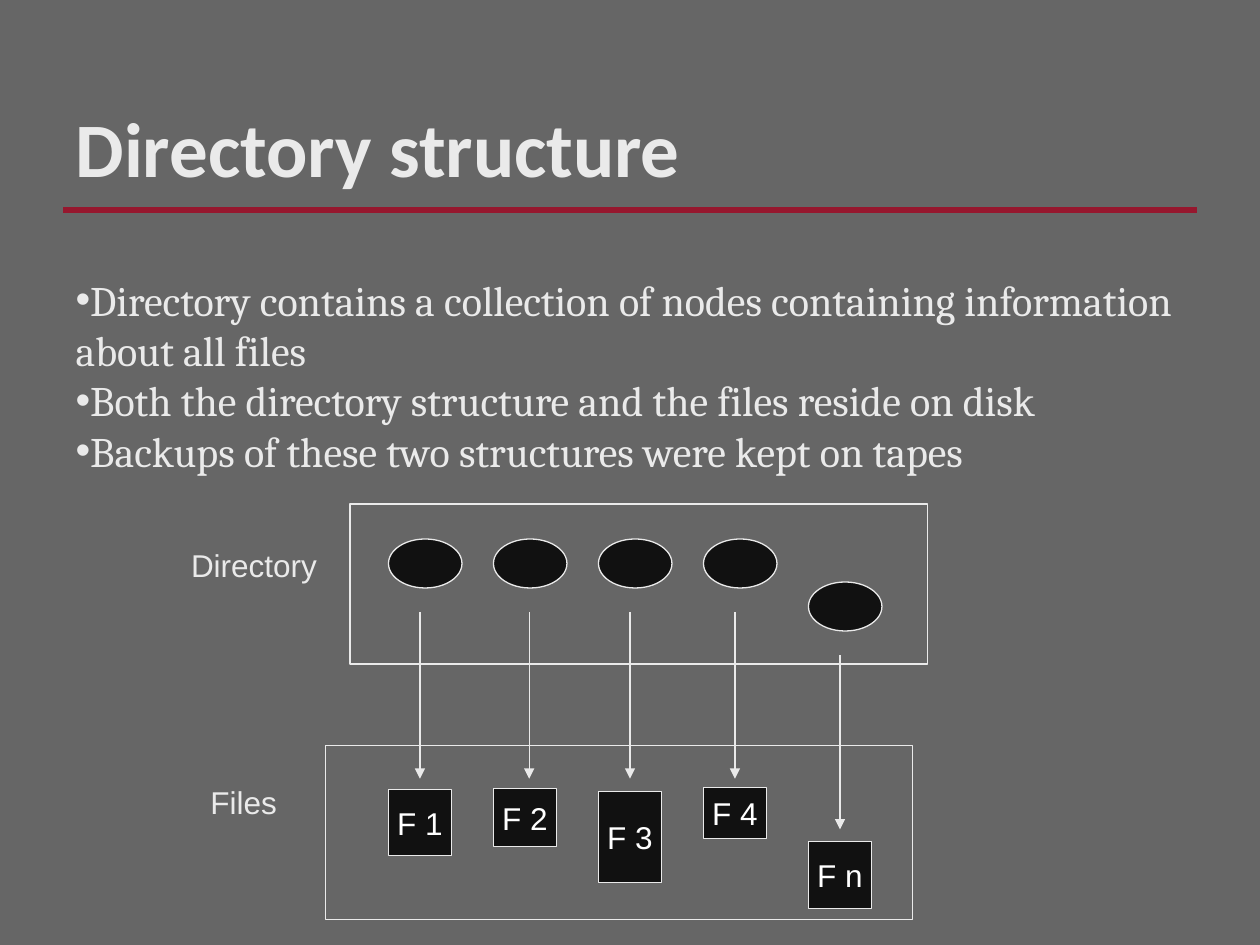
from lxml.etree import SubElement
from pptx import Presentation
from pptx.dml.color import RGBColor
from pptx.enum.shapes import MSO_CONNECTOR, MSO_SHAPE
from pptx.enum.text import MSO_ANCHOR, MSO_AUTO_SIZE, PP_ALIGN
from pptx.oxml.ns import qn
from pptx.util import Pt

HUES = {"back": "666666", "rule": "96172E", "pale": "EAEAEA",
        "dark": "111111", "white": "FFFFFF"}
POINTS = [
    "Directory contains a collection of nodes containing information about all files",
    "Both the directory structure and the files reside on disk",
    "Backups of these two structures were kept on tapes",
]
# Name, node top, arrow x, arrow top, arrow end, file top, file height
NODES = [
    ("F 1", 20, 138, 62, 157, 163, 38),
    ("F 2", 20, 200.4, 62, 157, 162.7, 33),
    ("F 3", 20, 258, 62, 157, 164.3, 52),
    ("F 4", 20, 318, 62, 157, 162, 29),
    ("F n", 44.6, 378, 86.4, 186, 193, 38),
]
LEFT, STEP = 120, 60


def hue(name):
    return RGBColor.from_string(HUES[name])


def place(shape, x, y, w, h):
    shape.left, shape.top = Pt(x), Pt(y)
    shape.width, shape.height = Pt(w), Pt(h)


def write(para, text, font, size, tint, bold=False):
    run = para.add_run()
    run.text = text
    run.font.name, run.font.size = font, Pt(size)
    run.font.bold = bold
    run.font.color.rgb = hue(tint)


def label(shape, text, tint):
    frame = shape.text_frame
    frame.word_wrap = False
    frame.auto_size = MSO_AUTO_SIZE.NONE
    frame.vertical_anchor = MSO_ANCHOR.MIDDLE
    para = frame.paragraphs[0]
    para.alignment = PP_ALIGN.CENTER
    write(para, text, "Arial", 18, tint)


def outline(slide, kind, x, y, w, h, fill=None):
    shape = slide.shapes.add_shape(kind, Pt(x), Pt(y), Pt(w), Pt(h))
    shape.shadow.inherit = False
    if fill:
        shape.fill.solid()
        shape.fill.fore_color.rgb = hue(fill)
    else:
        shape.fill.background()
    shape.line.color.rgb = hue("pale")
    shape.line.width = Pt(0.75)
    return shape


def stroke(slide, x1, y1, x2, y2, tint, width, arrow=False):
    line = slide.shapes.add_connector(
        MSO_CONNECTOR.STRAIGHT, Pt(x1), Pt(y1), Pt(x2), Pt(y2))
    line.line.color.rgb = hue(tint)
    line.line.width = Pt(width)
    if arrow:
        SubElement(line.line._get_or_add_ln(), qn("a:tailEnd"), type="triangle")
    SubElement(line._element.spPr, qn("a:effectLst"))


def heading(slide, x, y, w, h):
    title = slide.shapes.title
    place(title, x, y, w, h)
    frame = title.text_frame
    frame.auto_size = MSO_AUTO_SIZE.NONE
    frame.vertical_anchor = MSO_ANCHOR.BOTTOM
    para = frame.paragraphs[0]
    para.alignment = PP_ALIGN.LEFT
    write(para, "Directory structure", "Calibri", 44, "pale", True)
    # Rule under the title
    stroke(slide, x, y + h + 6, x + w, y + h + 6, "rule", 3)


def bullets(slide, x, y, w, h):
    body = slide.placeholders[1]
    place(body, x, y, w, h)
    frame = body.text_frame
    frame.auto_size = MSO_AUTO_SIZE.NONE
    for i, text in enumerate(POINTS):
        para = frame.add_paragraph() if i else frame.paragraphs[0]
        props = para._p.get_or_add_pPr()
        props.set("marL", "0")
        props.set("indent", "0")
        SubElement(props, qn("a:buChar"), char="•")
        para.space_before = Pt(0)
        write(para, text, "Cambria", 24, "pale")


def diagram(slide, x, y):
    # Nodes, files and the arrows between them
    for i, (name, node, mid, start, end, top, tall) in enumerate(NODES):
        col = x + LEFT + i * STEP
        outline(slide, MSO_SHAPE.OVAL, col, y + node, 42, 28, "dark")
        box = outline(slide, MSO_SHAPE.RECTANGLE, col, y + top, 36, tall, "dark")
        label(box, name, "white")
        stroke(slide, x + mid, y + start, x + mid, y + end, "pale", 0.75, True)
    # Frames
    outline(slide, MSO_SHAPE.RECTANGLE, x + 98, y, 330, 91.5)
    outline(slide, MSO_SHAPE.RECTANGLE, x + 84, y + 138, 335.5, 99.5)
    # Frame names
    for text, dx, dy, w in [("Directory", 0, 20.5, 86.4), ("Files", 11, 156, 52.6)]:
        box = slide.shapes.add_textbox(Pt(x + dx), Pt(y + dy), Pt(w), Pt(29))
        label(box, text, "pale")


def main():
    deck = Presentation()
    deck.slide_width, deck.slide_height = Pt(720), Pt(540)
    slide = deck.slides.add_slide(deck.slide_layouts[1])
    slide.background.fill.solid()
    slide.background.fill.fore_color.rgb = hue("back")
    heading(slide, 36, 24, 648, 90)
    bullets(slide, 36, 153, 648, 135)
    diagram(slide, 102, 288)
    deck.save("out.pptx")


if __name__ == "__main__":
    main()
